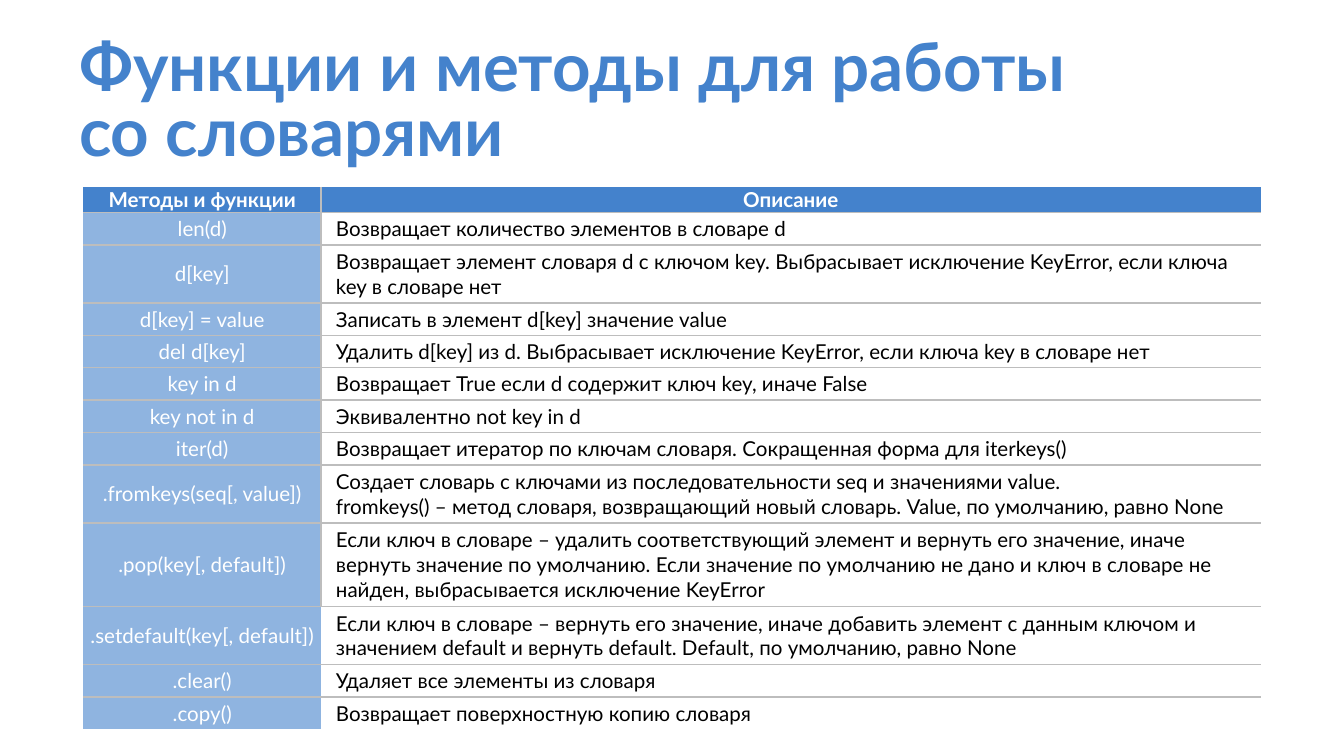
from lxml import etree
from pptx import Presentation, util as u
from pptx.dml.color import RGBColor
from pptx.enum import text
from pptx.oxml.ns import qn

HEADING = "Функции и методы для работы со словарями"
HEADERS = ("Методы и функции", "Описание")
METHODS = [
    ("len(d)", 1, "Возвращает количество элементов в словаре d"),
    ("d[key]", 2, "Возвращает элемент словаря d с ключом key. Выбрасывает исключение KeyError, "
                  "если ключа key в словаре нет"),
    ("d[key] = value", 1, "Записать в элемент d[key] значение value"),
    ("del d[key]", 1, "Удалить d[key] из d. Выбрасывает исключение KeyError, если ключа key в словаре нет"),
    ("key in d", 1, "Возвращает True если d содержит ключ key, иначе False"),
    ("key not in d", 1, "Эквивалентно not key in d"),
    ("iter(d)", 1, "Возвращает итератор по ключам словаря. Сокращенная форма для iterkeys()"),
    (".fromkeys(seq[, value])", 2,
     "Создает словарь с ключами из последовательности seq и значениями value.\n"
     "fromkeys() – метод словаря, возвращающий новый словарь. Value, по умолчанию, равно None"),
    (".pop(key[, default])", 3,
     "Если ключ в словаре – удалить соответствующий элемент и вернуть его значение, иначе "
     "вернуть значение по умолчанию. Если значение по умолчанию не дано и ключ в словаре не "
     "найден, выбрасывается исключение KeyError"),
    (".setdefault(key[, default])", 2,
     "Если ключ в словаре – вернуть его значение, иначе добавить элемент с данным ключом и "
     "значением default и вернуть default. Default, по умолчанию, равно None"),
    (".clear()", 1, "Удаляет все элементы из словаря"),
    (".copy()", 1, "Возвращает поверхностную копию словаря"),
]
SLIDE_WIDTH = 10
SLIDE_HEIGHT = SLIDE_WIDTH * 9 / 16
COLUMNS = (1.77, 6.99)
TABLE_HEIGHT = 4.04
LINE, ROW_PADDING = 0.19, 0.05
BLUE, LIGHT_BLUE, WHITE, BLACK, GREY = "4482CC", "8FB4E0", "FFFFFF", "000000", "BDBDBD"
SETDEFAULT_ROW, LAST_ROW = 10, len(METHODS)


def color(value):
    return RGBColor.from_string(value)


def style(paragraph, size, ink, bold=False):
    font = paragraph.font
    font.name, font.size, font.bold = "Lato", u.Pt(size), bold
    font.color.rgb = color(ink)


def set_borders(cell, sides):
    properties = cell._tc.get_or_add_tcPr()
    for index, side in enumerate("LRTB"):
        line = etree.Element(qn(f"a:ln{side}"), w=str(u.Pt(1)))
        if side in sides:
            fill = etree.SubElement(line, qn("a:solidFill"))
            etree.SubElement(fill, qn("a:srgbClr"), val=GREY)
        else:
            etree.SubElement(line, qn("a:noFill"))
        properties.insert(index, line)


def border_sides(row, column):
    sides = ("T" if row > 0 else "") + ("B" if row < LAST_ROW else "")
    if row < SETDEFAULT_ROW:
        sides += "L" if column else "R"
    return sides


def fill_cell(cell, content, row, column):
    header, described = row == 0, row > 0 and column == 1
    cell.text = content
    cell.vertical_anchor = text.MSO_ANCHOR.MIDDLE
    cell.margin_left = cell.margin_right = u.Inches(0.07 if header else 0.02)
    cell.margin_top = cell.margin_bottom = u.Inches(0 if header else 0.02)
    cell.fill.solid()
    cell.fill.fore_color.rgb = color(BLUE if header else WHITE if described else LIGHT_BLUE)
    for paragraph in cell.text_frame.paragraphs:
        style(paragraph, 11, BLACK if described else WHITE, header)
        if described:
            paragraph._p.get_or_add_pPr().set("marL", str(u.Inches(0.09)))
        else:
            paragraph.alignment = text.PP_ALIGN.CENTER
    set_borders(cell, border_sides(row, column))


deck = Presentation()
deck.slide_width, deck.slide_height = u.Inches(SLIDE_WIDTH), u.Inches(SLIDE_HEIGHT)
slide = deck.slides.add_slide(deck.slide_layouts[6])

heading = slide.shapes.add_textbox(*map(u.Inches, (0.49, 0.2, 7.57, 0.76))).text_frame
heading.word_wrap = True
heading.margin_left = heading.margin_right = heading.margin_top = heading.margin_bottom = u.Inches(0.1)
heading.text = HEADING
heading.paragraphs[0].line_spacing = 0.8
style(heading.paragraphs[0], 36, BLUE, True)

shares = [LINE] + [ROW_PADDING + LINE * lines for _, lines, _ in METHODS]
heights = [TABLE_HEIGHT * share / sum(shares) for share in shares]
contents = [HEADERS] + [(method, description) for method, _, description in METHODS]
table = slide.shapes.add_table(
    len(contents), len(COLUMNS), *map(u.Inches, (0.62, 1.39, sum(COLUMNS), TABLE_HEIGHT))).table
table.horz_banding = False
for column, width in zip(table.columns, COLUMNS):
    column.width = u.Inches(width)
for row, (height, cells) in enumerate(zip(heights, contents)):
    table.rows[row].height = u.Inches(height)
    for column, content in enumerate(cells):
        fill_cell(table.cell(row, column), content, row, column)

deck.save("out.pptx")
